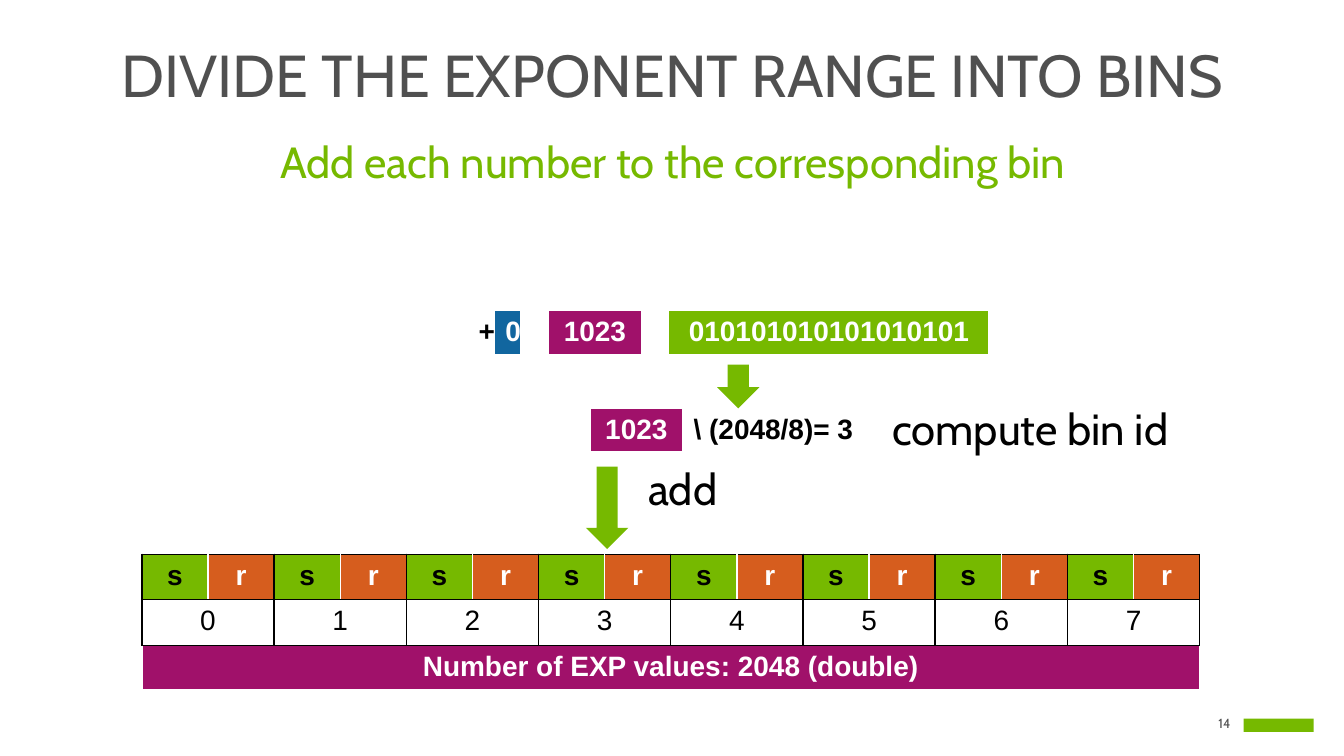
from lxml import etree
from pptx import Presentation
from pptx.dml.color import RGBColor
from pptx.enum import shapes as kinds, text as tx
from pptx.oxml import ns
from pptx.util import Pt

GREEN, MAGENTA, ORANGE, BLUE = "76B900", "A0116A", "D65D1E", "11669F"
BLACK, WHITE, GREY = "000000", "FFFFFF", "505050"
CENTER, LEFT, RIGHT = tx.PP_ALIGN.CENTER, tx.PP_ALIGN.LEFT, tx.PP_ALIGN.RIGHT

ROW = 29.2
BIN_COUNT, BIN_LEFT, BIN_TOP, BIN_WIDTH = 8, 91.2, 356.4, 85
# Borders as (colour, width) for the sides L, R, T, B
PLAIN = dict(L=(WHITE, 1), R=(WHITE, 1), T=(WHITE, 1), B=(WHITE, 3))
GRID = dict.fromkeys("LRTB", (BLACK, 1))


def color(hex_value):
    return RGBColor.from_string(hex_value)


def apply(target, **values):
    for name, value in values.items():
        setattr(target, name, value)


def write(paragraph, words, size, ink, face="Cabin", bold=False, **layout):
    apply(paragraph, **layout)
    run = paragraph.add_run()
    run.text = words
    apply(run.font, size=Pt(size), name=face, bold=bold)
    run.font.color.rgb = color(ink)


def border(cell, sides):
    properties = cell._tc.get_or_add_tcPr()
    for side, (ink, width) in sides.items():
        line = etree.SubElement(properties, ns.qn("a:ln" + side), w=str(Pt(width)))
        fill = etree.SubElement(line, ns.qn("a:solidFill"))
        etree.SubElement(fill, ns.qn("a:srgbClr"), val=ink)


def fill_cell(cell, words, fill, ink=WHITE, sides=PLAIN, tight=False,
              size=18, face="Arial", bold=True, alignment=CENTER):
    border(cell, sides)
    cell.fill.solid()
    cell.fill.fore_color.rgb = color(fill)
    if tight:
        apply(cell, margin_left=0, margin_right=0)
    if words:
        write(cell.text_frame.paragraphs[0], words, size, ink, face, bold,
              alignment=alignment)


def add_table(slide, left, top, widths, rows=1, height=ROW):
    table = slide.shapes.add_table(rows, len(widths), Pt(left), Pt(top),
                                   Pt(sum(widths)), Pt(rows * height)).table
    apply(table, first_row=False, horz_banding=False)
    for column, width in zip(table.columns, widths):
        column.width = Pt(width)
    return table


def add_bin(slide, number):
    table = add_table(slide, BIN_LEFT + number * BIN_WIDTH, BIN_TOP,
                      [BIN_WIDTH / 2] * 2, rows=2)
    fill_cell(table.cell(0, 0), "s", GREEN, BLACK, GRID | {"R": (WHITE, 1)}, True)
    fill_cell(table.cell(0, 1), "r", ORANGE, WHITE, GRID | {"L": (WHITE, 1)}, True)
    table.cell(1, 0).merge(table.cell(1, 1))
    fill_cell(table.cell(1, 0), str(number), WHITE, BLACK, GRID, True, bold=False)
    border(table.cell(1, 1), GRID)


def add_block(slide, kind, left, top, width, height):
    block = slide.shapes.add_shape(kind, Pt(left), Pt(top), Pt(width), Pt(height))
    block.shadow.inherit = False
    block.fill.solid()
    block.fill.fore_color.rgb = color(GREEN)
    block.line.fill.background()


def add_label(slide, left, top, width, height, words, size, ink, inset=None, **layout):
    box = slide.shapes.add_textbox(Pt(left), Pt(top), Pt(width), Pt(height))
    box.text_frame.word_wrap = True
    if inset is not None:
        apply(box.text_frame, margin_left=inset, margin_right=inset,
              margin_top=inset, margin_bottom=inset)
    write(box.text_frame.paragraphs[0], words, size, ink, **layout)


def set_placeholder(holder, top, height, anchor, words, size, ink, spacing):
    apply(holder, left=Pt(39.6), top=Pt(top), width=Pt(785.5), height=Pt(height))
    frame = holder.text_frame
    apply(frame, word_wrap=True, auto_size=tx.MSO_AUTO_SIZE.NONE,
          vertical_anchor=anchor)
    paragraph = frame.paragraphs[0]
    properties = paragraph._p.get_or_add_pPr()
    properties.set("marL", "0")
    properties.set("indent", "0")
    etree.SubElement(properties, ns.qn("a:buNone"))
    write(paragraph, words, size, ink, alignment=CENTER,
          line_spacing=spacing, space_before=Pt(0))


def main():
    deck = Presentation()
    apply(deck, slide_width=Pt(864), slide_height=Pt(486))
    slide = deck.slides.add_slide(deck.slide_layouts[1])

    # Heading
    set_placeholder(slide.shapes.title, 29.5, 44, tx.MSO_ANCHOR.MIDDLE,
                    "DIVIDE THE EXPONENT RANGE INTO BINS", 38, GREY, 0.8)
    set_placeholder(slide.placeholders[1], 87, 41, tx.MSO_ANCHOR.TOP,
                    "Add each number to the corresponding bin", 28, GREEN, 0.9)

    # Number split into sign, exponent and mantissa
    number = add_table(slide, 300.5, 199.5, [16.8, 16.8, 16.8, 60.5, 16.8, 205.9])
    parts = [("+", WHITE, BLACK), ("0", BLUE), ("", WHITE), ("1023", MAGENTA),
             ("", WHITE), ("010101010101010101", GREEN)]
    for column, part in enumerate(parts):
        fill_cell(number.cell(0, column), *part)

    # Bin id from the exponent
    bin_id = add_table(slide, 379.5, 262.3, [59.2, 125.5])
    fill_cell(bin_id.cell(0, 0), "1023", MAGENTA)
    fill_cell(bin_id.cell(0, 1), "\\ (2048/8)= 3", WHITE, BLACK, alignment=LEFT)
    add_label(slide, 566.6, 258.5, 216.7, 41, "compute bin id", 28, BLACK,
              line_spacing=0.9)

    # Bins and their caption
    caption = add_table(slide, BIN_LEFT, BIN_TOP + 2 * ROW, [BIN_COUNT * BIN_WIDTH])
    fill_cell(caption.cell(0, 0), "Number of EXP values: 2048 (double)", MAGENTA,
              tight=True)
    for index in range(BIN_COUNT):
        add_bin(slide, index)

    # Steps
    add_block(slide, kinds.MSO_SHAPE.DOWN_ARROW, 461, 234.5, 27.2, 28)
    step = add_table(slide, 409.4, 294.5, [83.5], height=41)
    fill_cell(step.cell(0, 0), "add", WHITE, BLACK, size=28, face="Cabin",
              bold=False, alignment=LEFT)
    add_block(slide, kinds.MSO_SHAPE.DOWN_ARROW, 376.7, 300, 27.2, 53)

    # Footer
    add_label(slide, 769, 460, 22, 13, "14", 8.5, GREY, inset=0, alignment=RIGHT)
    add_block(slide, kinds.MSO_SHAPE.RECTANGLE, 799.5, 462, 45, 8.5)

    deck.save("out.pptx")


if __name__ == "__main__":
    main()
